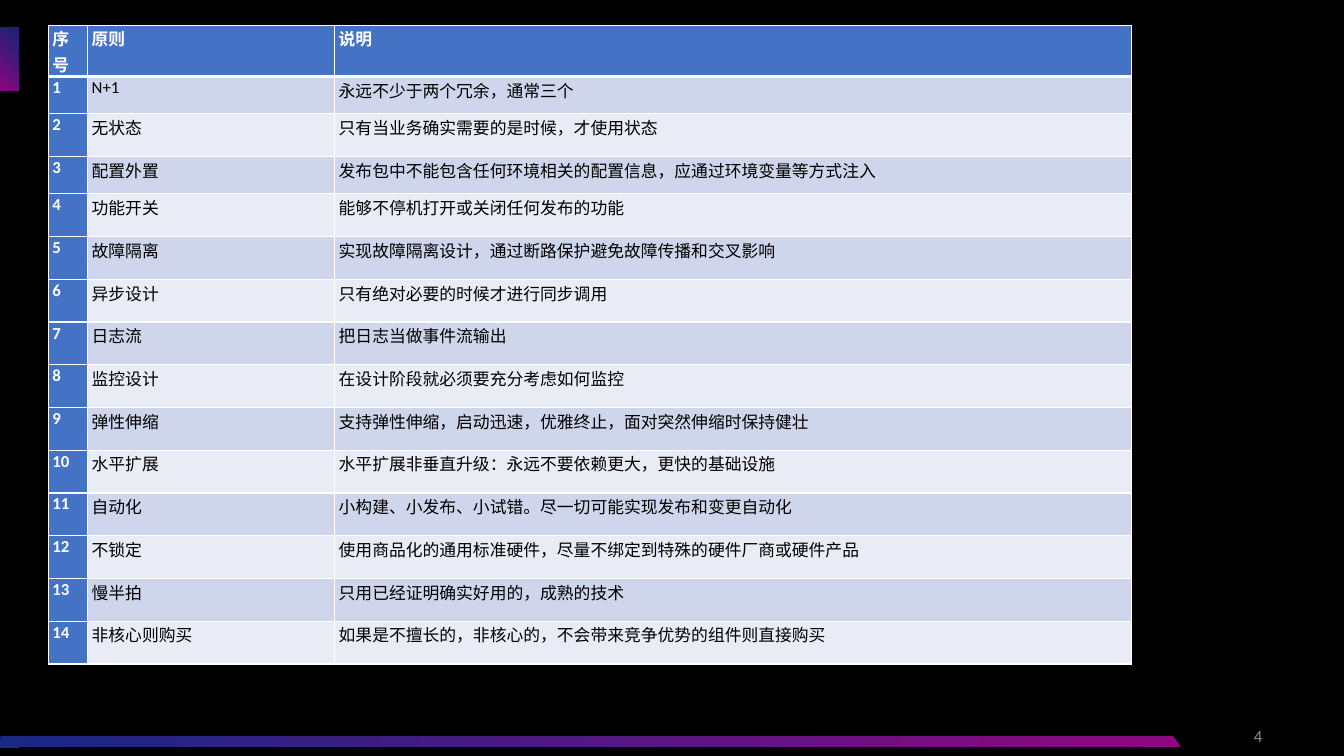
import pptx
import pptx.dml.color
import pptx.enum.shapes
import pptx.enum.text
import pptx.oxml
import pptx.oxml.ns
import pptx.util
from pptx.util import Inches

NAVY, MAGENTA = "182983", "8D0780"
HEADER_BLUE, BANDS = "4472C4", ("CFD5EA", "E9EBF5")
COLUMN_WIDTHS = (0.39, 2.45, 7.9)
TABLE_HEIGHT = 6.34
SPECIAL_HEIGHTS = {0: 0.51, 1: 0.37, 3: 0.37}
HEADINGS = ("序号", "原则", "说明")
PRINCIPLES = (
    ("N+1", "永远不少于两个冗余，通常三个"),
    ("无状态", "只有当业务确实需要的是时候，才使用状态"),
    ("配置外置", "发布包中不能包含任何环境相关的配置信息，应通过环境变量等方式注入"),
    ("功能开关", "能够不停机打开或关闭任何发布的功能"),
    ("故障隔离", "实现故障隔离设计，通过断路保护避免故障传播和交叉影响"),
    ("异步设计", "只有绝对必要的时候才进行同步调用"),
    ("日志流", "把日志当做事件流输出"),
    ("监控设计", "在设计阶段就必须要充分考虑如何监控"),
    ("弹性伸缩", "支持弹性伸缩，启动迅速，优雅终止，面对突然伸缩时保持健壮"),
    ("水平扩展", "水平扩展非垂直升级：永远不要依赖更大，更快的基础设施"),
    ("自动化", "小构建、小发布、小试错。尽一切可能实现发布和变更自动化"),
    ("不锁定", "使用商品化的通用标准硬件，尽量不绑定到特殊的硬件厂商或硬件产品"),
    ("慢半拍", "只用已经证明确实好用的，成熟的技术"),
    ("非核心则购买", "如果是不擅长的，非核心的，不会带来竞争优势的组件则直接购买"),
)


def rgb(value):
    """Turn a hex string into a colour."""
    return pptx.dml.color.RGBColor.from_string(value)


def write_text(frame, text, color="000000", bold=False, align=None, spacing=None, after=None):
    """Put one formatted paragraph into a text frame."""
    paragraph = frame.paragraphs[0]
    paragraph.alignment = align
    paragraph.line_spacing = spacing
    paragraph.space_after = after
    run = paragraph.add_run()
    run.text = text
    run.font.name = "Calibri"
    run.font.size = pptx.util.Pt(12)
    run.font.bold = bold
    run.font.color.rgb = rgb(color)


def add_block(slide, kind, left, top, width, height):
    """Add a preset shape without line or shadow."""
    block = slide.shapes.add_shape(
        kind, Inches(left), Inches(top), Inches(width), Inches(height))
    block.shadow.inherit = False
    block.line.fill.background()
    return block


def fill_gradient(block, angle, start_alpha=100):
    """Fill a block from navy to magenta at a clockwise angle."""
    block.fill.gradient()
    block.fill.gradient_angle = 360 - angle
    for stop, color, position in zip(block.fill.gradient_stops, (NAVY, MAGENTA), (0, 1)):
        stop.color.rgb = rgb(color)
        stop.position = position
    if start_alpha < 100:
        navy = block._element.spPr.find(".//" + pptx.oxml.ns.qn("a:srgbClr"))
        alpha = navy.makeelement(pptx.oxml.ns.qn("a:alpha"), {"val": str(start_alpha * 1000)})
        navy.append(alpha)


def add_border(cell, side, points):
    """Draw a white border on one side of a cell."""
    cell._tc.get_or_add_tcPr().append(pptx.oxml.parse_xml(
        f'<a:ln{side} {pptx.oxml.ns.nsdecls("a")} w="{pptx.util.Pt(points)}">'
        f'<a:solidFill><a:srgbClr val="FFFFFF"/></a:solidFill></a:ln{side}>'))


def format_cell(cell, text, row, column):
    """Write, border and fill one cell of the principles table."""
    heading = row == 0 or column == 0
    cell.margin_left = cell.margin_right = Inches(0.04)
    cell.margin_top = cell.margin_bottom = 0
    align = pptx.enum.text.PP_ALIGN.JUSTIFY if row == column == 0 else None
    write_text(cell.text_frame, text, color="FFFFFF" if heading else "000000",
               bold=heading, align=align, spacing=1.05, after=pptx.util.Pt(2))
    for side in "LRTB":
        under_header = (row, side) in ((0, "B"), (1, "T"))
        add_border(cell, side, 3 if under_header else 1)
    cell.fill.solid()
    cell.fill.fore_color.rgb = rgb(HEADER_BLUE if heading else BANDS[(row - 1) % 2])


def add_principles_table(slide):
    """Add the numbered table of design principles."""
    rows = [HEADINGS] + [(str(n), *pair) for n, pair in enumerate(PRINCIPLES, 1)]
    table = slide.shapes.add_table(
        len(rows), len(HEADINGS), Inches(0.48), Inches(0.25),
        Inches(sum(COLUMN_WIDTHS)), Inches(TABLE_HEIGHT)).table
    for column, width in zip(table.columns, COLUMN_WIDTHS):
        column.width = Inches(width)
    regular_total = TABLE_HEIGHT - sum(SPECIAL_HEIGHTS.values())
    regular_height = regular_total / (len(rows) - len(SPECIAL_HEIGHTS))
    for r, texts in enumerate(rows):
        table.rows[r].height = Inches(SPECIAL_HEIGHTS.get(r, regular_height))
        for c, text in enumerate(texts):
            format_cell(table.cell(r, c), text, r, c)


def add_page_number(slide):
    """Add the grey page number at the lower right."""
    page_number = slide.shapes.add_textbox(Inches(9.62), Inches(7.1), Inches(3), Inches(0.4))
    frame = page_number.text_frame
    frame.word_wrap = True
    frame.vertical_anchor = pptx.enum.text.MSO_ANCHOR.MIDDLE
    write_text(frame, "4", color="8C8C8C", align=pptx.enum.text.PP_ALIGN.RIGHT)


def add_decoration(slide):
    """Add the side tab and the footer bar."""
    kinds = pptx.enum.shapes.MSO_SHAPE
    side_tab = add_block(slide, kinds.RECTANGLE, 0, 0.27, 0.18, 0.63)
    fill_gradient(side_tab, 135, start_alpha=90)
    footer_bar = add_block(slide, kinds.PARALLELOGRAM, 0, 7.3, 11.71, 0.11)
    footer_bar.adjustments[0] = 0.775
    footer_bar._element.spPr.xfrm.set("flipH", "1")
    fill_gradient(footer_bar, 180)
    footer_start = add_block(slide, kinds.RECTANGLE, 0, 7.32, 0.19, 0.1)
    footer_start.fill.solid()
    footer_start.fill.fore_color.rgb = rgb("1A2983")


def main():
    """Build the slide and save it."""
    deck = pptx.Presentation()
    deck.slide_width, deck.slide_height = Inches(13.33), Inches(7.5)
    slide = deck.slides.add_slide(deck.slide_layouts[6])
    slide.background.fill.solid()
    slide.background.fill.fore_color.rgb = rgb("000000")
    add_decoration(slide)
    add_page_number(slide)
    add_principles_table(slide)
    deck.save("out.pptx")


if __name__ == "__main__":
    main()
